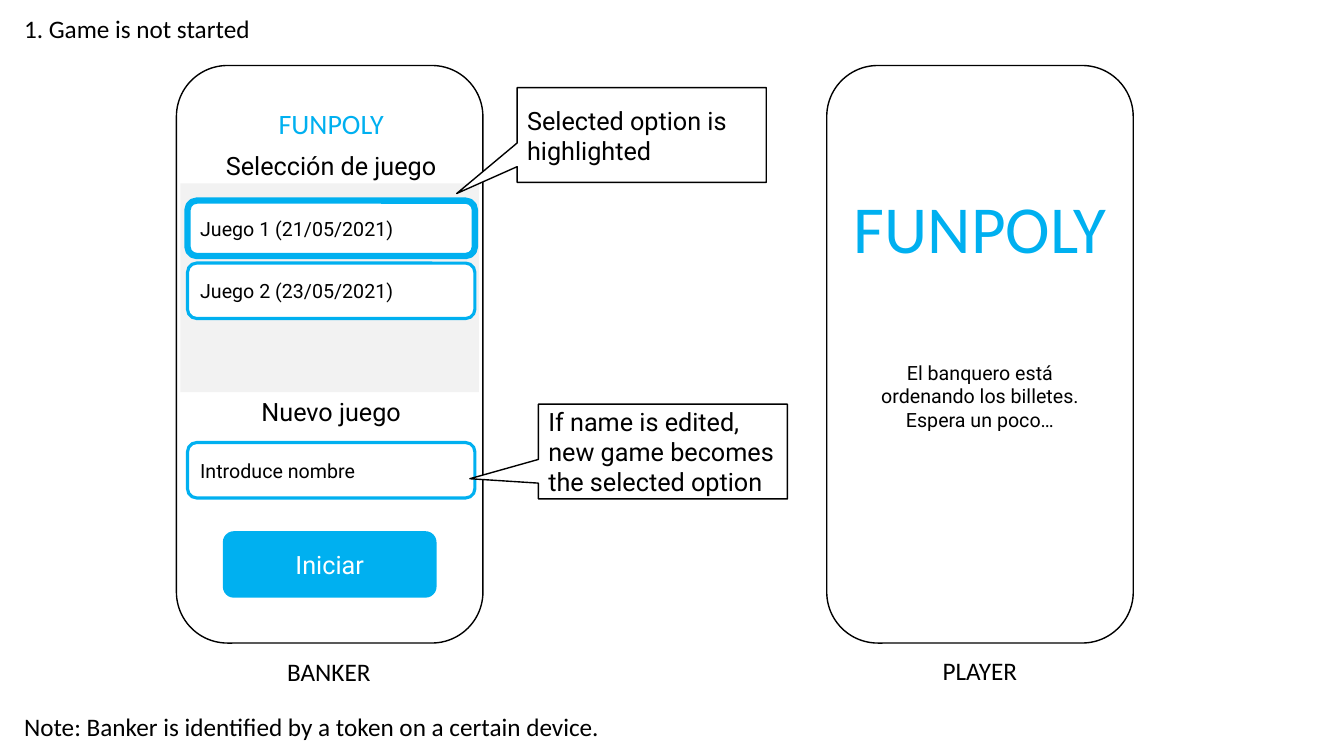
from pptx import Presentation
from pptx import util as u
from pptx.dml.color import RGBColor
from pptx.enum import shapes, text

PX = 9144
BLACK = RGBColor(0, 0, 0)
WHITE = RGBColor(255, 255, 255)
GRAY = RGBColor(0xF2, 0xF2, 0xF2)
BLUE = RGBColor(0, 0xB0, 0xF0)
KIND = shapes.MSO_SHAPE
ROUND = KIND.ROUNDED_RECTANGLE
LEFT, MID = text.PP_ALIGN.LEFT, text.PP_ALIGN.CENTER
FIT = text.MSO_AUTO_SIZE


def emu(box):
    return [u.Emu(n * PX) for n in box]


def put(item, values):
    for name, value in values.items():
        setattr(item, name, value)


def write(shape, words, size, font, color=BLACK, align=MID, **frame):
    body = shape.text_frame
    put(body, frame)
    for i, line in enumerate(words.split("\n")):
        par = body.add_paragraph() if i else body.paragraphs[0]
        par.alignment = align
        run = par.add_run()
        run.text = line
        put(run.font, {"size": u.Pt(size), "name": font})
        run.font.color.rgb = color


def label(slide, box, words, size=18, font="Calibri", color=BLACK,
          align=LEFT, wrap=False):
    shape = slide.shapes.add_textbox(*emu(box))
    write(shape, words, size, font, color, align,
          word_wrap=wrap, auto_size=FIT.SHAPE_TO_FIT_TEXT)


def panel(slide, box, kind=ROUND, fill=None, line=None, width=1):
    shape = slide.shapes.add_shape(kind, *emu(box))
    shape.shadow.inherit = False
    for paint, color in ((shape.fill, fill), (shape.line.fill, line)):
        if color is None:
            paint.background()
        else:
            paint.solid()
            paint.fore_color.rgb = color
    if line is not None:
        shape.line.width = u.Pt(width)
    return shape


def block(slide, box, words, size=18, color=BLACK, align=MID, **look):
    shape = panel(slide, box, **look)
    write(shape, words, size, "Roboto", color, align, word_wrap=True,
          vertical_anchor=text.MSO_ANCHOR.MIDDLE)
    return shape


def field(slide, box, words, width=2.25):
    block(slide, box, words, 14, align=LEFT, fill=WHITE, line=BLUE, width=width)


def banker(slide, box):
    x, y, w, h = box

    def row(top):
        return x + 11, y + top, 285, 55

    panel(slide, (x + 4, y + 117, w - 8, 207), KIND.RECTANGLE, GRAY)
    panel(slide, box, line=BLACK)
    block(slide, (x + 46, y + 462, 212, 66), "Iniciar", color=WHITE, fill=BLUE)
    label(slide, (x + 100, y + h + 8, 104, 40), "BANKER")
    label(slide, (x + 88, y + 36, 131, 44), "FUNPOLY", 20,
          color=BLUE, align=MID, wrap=True)
    games = (("Juego 1 (21/05/2021)", 4.5), ("Juego 2 (23/05/2021)", 2.25))
    for i, (name, width) in enumerate(games):
        field(slide, row(134 + 62 * i), name, width)
    block(slide, row(72), "Selección de juego")
    field(slide, row(374), "Introduce nombre")
    block(slide, row(316), "Nuevo juego")


def player(slide, box):
    x, y, w, h = box
    panel(slide, box, fill=WHITE, line=BLACK)
    label(slide, (x, y + 115, w, 91), "FUNPOLY", 48,
          color=BLUE, align=MID, wrap=True)
    label(slide, (x + 24, y + 288, w - 48, 81),
          "El banquero está ordenando los billetes.\nEspera un poco…",
          14, "Roboto", align=MID, wrap=True)
    label(slide, (x + 105, y + h + 7, 95, 40), "PLAYER")


def callout(slide, box, words, tip):
    x, y, w, h = box
    shape = block(slide, box, words, align=LEFT,
                  kind=KIND.RECTANGULAR_CALLOUT, fill=WHITE, line=BLACK)
    shape.adjustments[0] = (tip[0] - x) / w - 0.5
    shape.adjustments[1] = (tip[1] - y) / h - 0.5


def main():
    deck = Presentation()
    put(deck, {"slide_width": u.Emu(1333 * PX), "slide_height": u.Emu(750 * PX)})
    slide = deck.slides.add_slide(deck.slide_layouts[6])
    label(slide, (14, 8, 247, 40), "1. Game is not started")
    label(slide, (14, 701, 601, 40),
          "Note: Banker is identified by a token on a certain device.")
    banker(slide, (175, 65, 304, 573))
    player(slide, (820, 65, 304, 573))
    callout(slide, (513, 87, 247, 94), "Selected option is highlighted",
            (453, 192))
    callout(slide, (534, 401, 247, 94),
            "If name is edited, new game becomes the selected option",
            (466, 475))
    deck.save("out.pptx")


if __name__ == "__main__":
    main()
